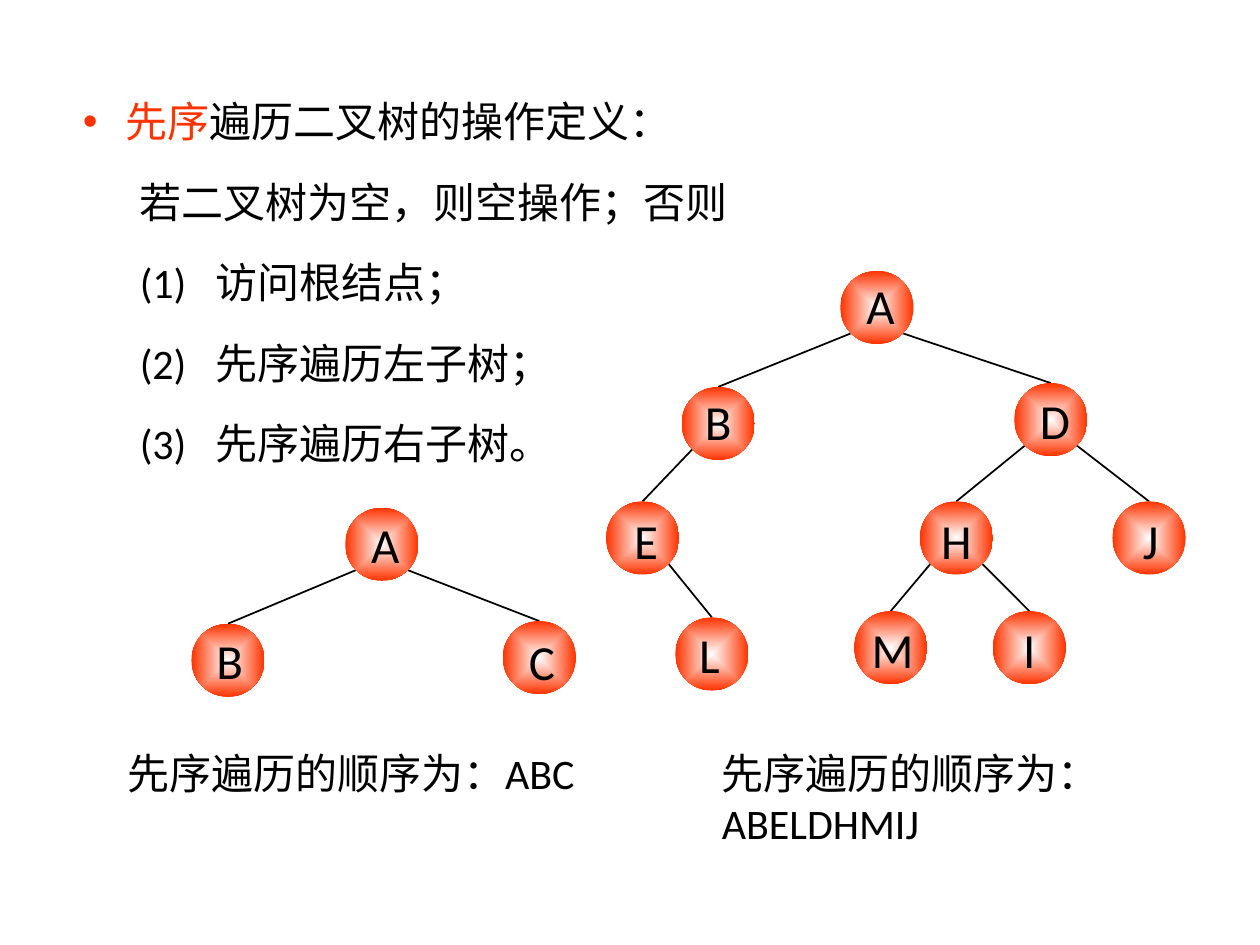
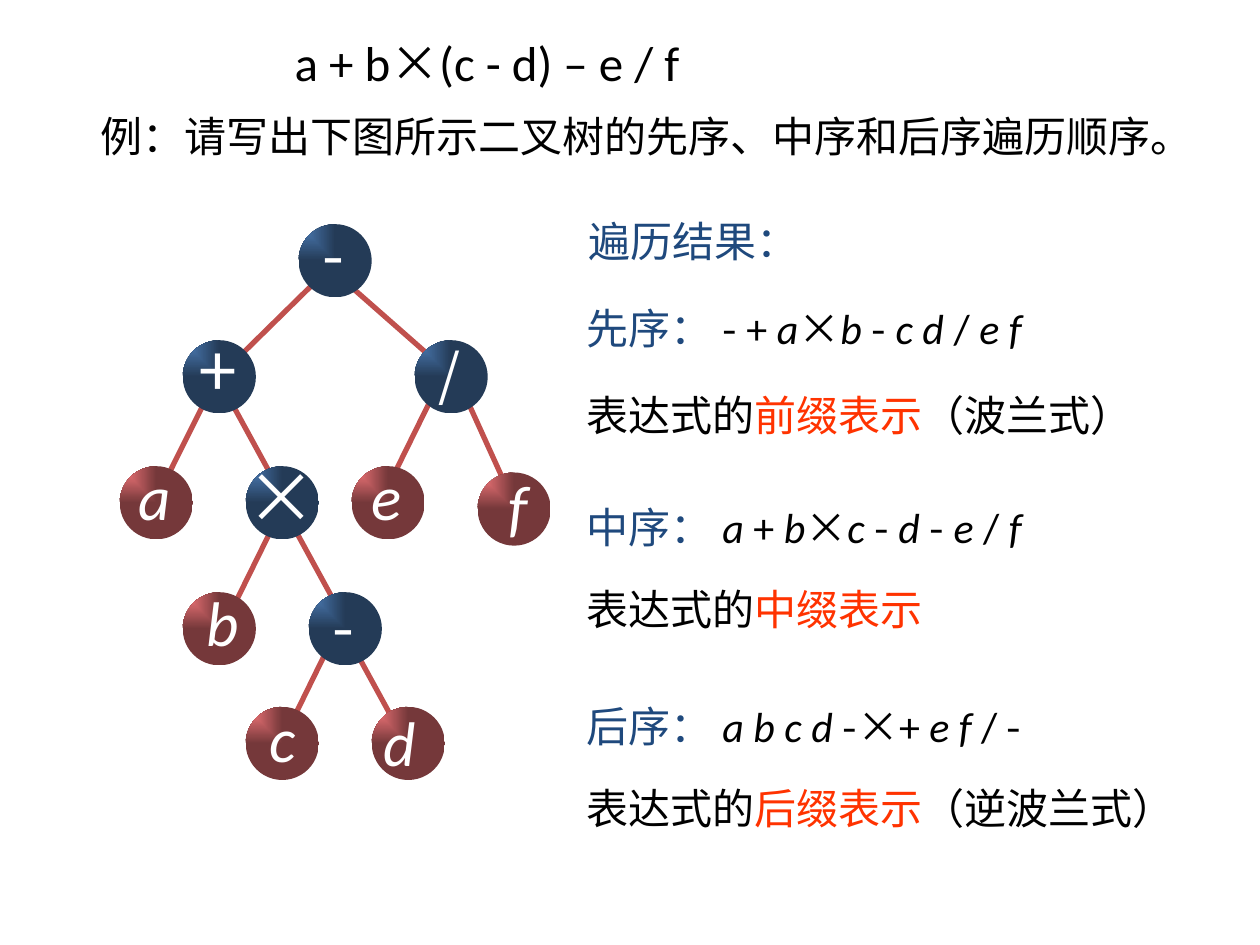
from itertools import groupby
from lxml import etree
from pptx import Presentation
from pptx.dml.color import RGBColor
from pptx.enum.shapes import MSO_CONNECTOR, MSO_SHAPE
from pptx.enum.text import MSO_ANCHOR, PP_ALIGN
from pptx.oxml.ns import qn
from pptx.util import Pt

OVAL = MSO_SHAPE.OVAL
LINE = MSO_CONNECTOR.STRAIGHT
LEFT, MID = PP_ALIGN.LEFT, PP_ALIGN.CENTER
TOP, HALF = MSO_ANCHOR.TOP, MSO_ANCHOR.MIDDLE

BLACK = RGBColor(0x00, 0x00, 0x00)
WHITE = RGBColor(0xFF, 0xFF, 0xFF)
RED = RGBColor(0xFF, 0x33, 0x00)
NAVY = RGBColor(0x1F, 0x49, 0x7D)
BRICK = RGBColor(0xC0, 0x50, 0x4D)
BLUE = RGBColor(0x4F, 0x81, 0xBD)
DEEP = RGBColor(0x24, 0x3B, 0x57)
PINK = RGBColor(0xFF, 0x7C, 0x80)
WINE = RGBColor(0x75, 0x38, 0x3A)

FONT, HAN = "Calibri", "Noto Sans CJK SC"
DISC = 41.8  # diameter of a tree node


def write(slide, text, x, y, w, h=36, size=24, color=BLACK, font=FONT,
          italic=False, align=LEFT, anchor=TOP, gap=1.0, dents=()):
    """Text is a string or a list of paragraphs; a paragraph is a string
    or a list of (string, format) runs."""
    frame = slide.shapes.add_textbox(Pt(x), Pt(y), Pt(w), Pt(h)).text_frame
    frame.word_wrap = True
    frame.vertical_anchor = anchor
    paras = [text] if isinstance(text, str) else text
    for i, runs in enumerate(paras):
        para = frame.paragraphs[0] if i == 0 else frame.add_paragraph()
        para.alignment = align
        para.line_spacing = gap
        if dents:
            left, first = dents[i]
            props = para._p.get_or_add_pPr()
            props.set("marL", str(Pt(left)))
            props.set("indent", str(Pt(first)))
        for part, form in [(runs, {})] if isinstance(runs, str) else runs:
            run = para.add_run()
            run.text = part
            run.font.size = Pt(size)
            run.font.name = form.get("font", font)
            run.font.italic = form.get("italic", italic)
            run.font.color.rgb = form.get("color", color)
            east = etree.SubElement(run.font._element, qn("a:ea"))
            east.set("typeface", HAN)
    return frame


def math_runs(text):
    """Letters are italic, minus and times use the Han font."""
    kind = lambda c: "var" if c.isalpha() else "sign" if c in "-×" else "op"
    forms = {"var": {"italic": True}, "sign": {"font": HAN}, "op": {}}
    return [("".join(chars), forms[k]) for k, chars in groupby(text, kind)]


deck = Presentation()
deck.slide_width, deck.slide_height = Pt(720), Pt(540)
blank = deck.slide_layouts[6]
rules = deck.slides.add_slide(blank)
task = deck.slides.add_slide(blank)

# Trees on the first slide: label, centre x, y, label shift x, y, parent, side
plan = [
    ("A", 218.2, 311, 2, 0, None, 0),
    ("B", 130.3, 377.3, 1, 0, 0, -1),
    ("C", 308.2, 375.8, 1.5, 2, 0, 1),
    ("A", 501.1, 175.7, 2, -1.5, None, 0),
    ("B", 410.4, 242, 0, -1.5, 3, -1),
    ("D", 600.5, 239.8, 2.3, 0, 3, 1),
    ("E", 367.2, 307.4, 2, 1, 4, -1),
    ("H", 546.5, 307.4, 0, 1, 5, -1),
    ("J", 656.6, 307.4, 1, 1, 5, 1),
    ("L", 406.8, 373.7, -1.5, 0, 6, 1),
    ("M", 509, 370.1, 1, 0.5, 7, -1),
    ("I", 588.2, 370.1, 0, 0.5, 7, 1),
]
slant = 0.707 * DISC / 2
plain_edges = []
for name, x, y, dx, dy, up, side in plan:
    if up is not None:
        plain_edges.append((plan[up][1] + side * slant, plan[up][2] + slant,
                            x, y - DISC / 2))
plain_nodes = [(*row[:5], 28, False) for row in plan]

# Expression tree on the second slide: label, centre, label shift, size, leaf
sum_nodes = [
    ("-", 191.5, 149, -1, -4.3, 36, False),
    ("+", 125.3, 215.3, -0.7, -4, 40, False),
    ("/", 257.8, 215.3, -1, -2, 32, False),
    ("a", 89.3, 287.3, -1, -4.3, 36, True),
    ("×", 161.3, 287.3, -0.7, -4, 40, False),
    ("e", 221.8, 287.3, -0.7, -4.3, 36, True),
    ("f", 293.8, 290.9, 2, -2, 36, True),
    ("b", 125.3, 359.3, 2, -4.3, 36, True),
    ("-", 197.3, 359.3, -1, -2, 36, False),
    ("c", 161.3, 424.8, 0, -3.6, 36, True),
    ("d", 233.3, 424.8, -4.7, -1.4, 36, True),
]
sum_edges = [
    (182.9, 158.4, 134.6, 205.9), (194.4, 158.4, 248.4, 205.9),
    (116.6, 230.4, 92.9, 277.9), (128.9, 223.9, 158.4, 277.9),
    (248.4, 223.9, 224.6, 272.2), (266.4, 227.5, 290.9, 281.5),
    (158.4, 295.9, 134.6, 344.2), (164.9, 295.9, 194.4, 349.9),
    (188.6, 367.9, 164.9, 416.2), (200.9, 367.9, 230.4, 421.9),
]

# Draw edges, then discs, then labels
trees = [
    (rules, plain_edges, plain_nodes, BLACK, 1, BLACK),
    (task, sum_edges, sum_nodes, BRICK, 3, WHITE),
]
for slide, edges, nodes, stroke, width, ink in trees:
    for ends in edges:
        edge = slide.shapes.add_connector(LINE, *map(Pt, ends))
        edge.line.color.rgb = stroke
        edge.line.width = Pt(width)
        etree.SubElement(edge._element.spPr, qn("a:effectLst"))
    for name, x, y, dx, dy, size, leaf in nodes:
        disc = slide.shapes.add_shape(OVAL, Pt(x - DISC / 2), Pt(y - DISC / 2),
                                      Pt(DISC), Pt(DISC))
        disc.shadow.inherit = False
        disc.line.fill.background()
        disc.fill.gradient()
        if slide is rules:
            tones, shape, focus = (WHITE, RED), "shape", (50, 50, 50, 50)
        else:
            tones = (PINK, WINE) if leaf else (BLUE, DEEP)
            shape, focus = "rect", (0, 0, 100, 100)
        for stop, tone in zip(disc.fill.gradient_stops, tones):
            stop.color.rgb = tone
        grad = disc._element.spPr.find(qn("a:gradFill"))
        grad.remove(grad.find(qn("a:lin")))
        route = etree.SubElement(grad, qn("a:path"))
        route.set("path", shape)
        rect = etree.SubElement(route, qn("a:fillToRect"))
        for edge_key, share in zip("ltrb", focus):
            rect.set(edge_key, str(share * 1000))
    for name, x, y, dx, dy, size, leaf in nodes:
        font = FONT if leaf or slide is rules else HAN
        write(slide, name, x + dx - 30, y + dy - 25, 60, 50, size=size,
              color=ink, font=font, italic=leaf, align=MID, anchor=HALF)

# Definition of preorder
steps = ["访问根结点；", "先序遍历左子树；", "先序遍历右子树。"]
lines = [[("先序", {"color": RED}), ("遍历二叉树的操作定义：", {})],
         "若二叉树为空，则空操作；否则"]
lines += [f"({n})\t{step}" for n, step in enumerate(steps, 1)]
frame = write(rules, lines, 40.3, 33.8, 420, 238, gap=1.6,
              dents=[(24.5, -24.5), (32.5, 0)] + [(76, -43.5)] * 3)
props = frame.paragraphs[0]._p.get_or_add_pPr()
etree.SubElement(props, qn("a:buFont")).set("typeface", "Arial")
etree.SubElement(props, qn("a:buChar")).set("char", "•")

# Orders below the trees
write(rules, "先序遍历的顺序为：ABC", 65.5, 423.4, 306)
write(rules, ["先序遍历的顺序为：", "ABELDHMIJ"], 405.4, 423.4, 258, 66)

# Formula and question
write(task, [[("a + b", {}), ("×", {"font": HAN}), ("(c - d) – e / f", {})]],
      161.3, 15.1, 346, 41, size=28)
write(task, "例：请写出下图所示二叉树的先序、中序和后序遍历顺序。", 50.4, 59.8, 650)

# Results
write(task, "遍历结果：", 329, 119.5, 150, color=NAVY)
results = [
    ("先序： ", "- + a×b - c d / e f", "前缀表示", "（波兰式）", 169.2, 218.9),
    ("中序： ", "a + b×c - d - e / f", "中缀表示", "", 283, 329.8),
    ("后序： ", "a b c d -×+ e f / -", "后缀表示", "（逆波兰式）", 396.7, 443.5),
]
for order, terms, form, alias, y, y2 in results:
    write(task, [[(order, {"color": NAVY})] + math_runs(terms)], 328.3, y, 370)
    runs = [("表达式的", {}), (form, {"color": RED})]
    if alias:
        runs.append((alias, {}))
    write(task, [runs], 328.3, y2, 380)

deck.save("out.pptx")
